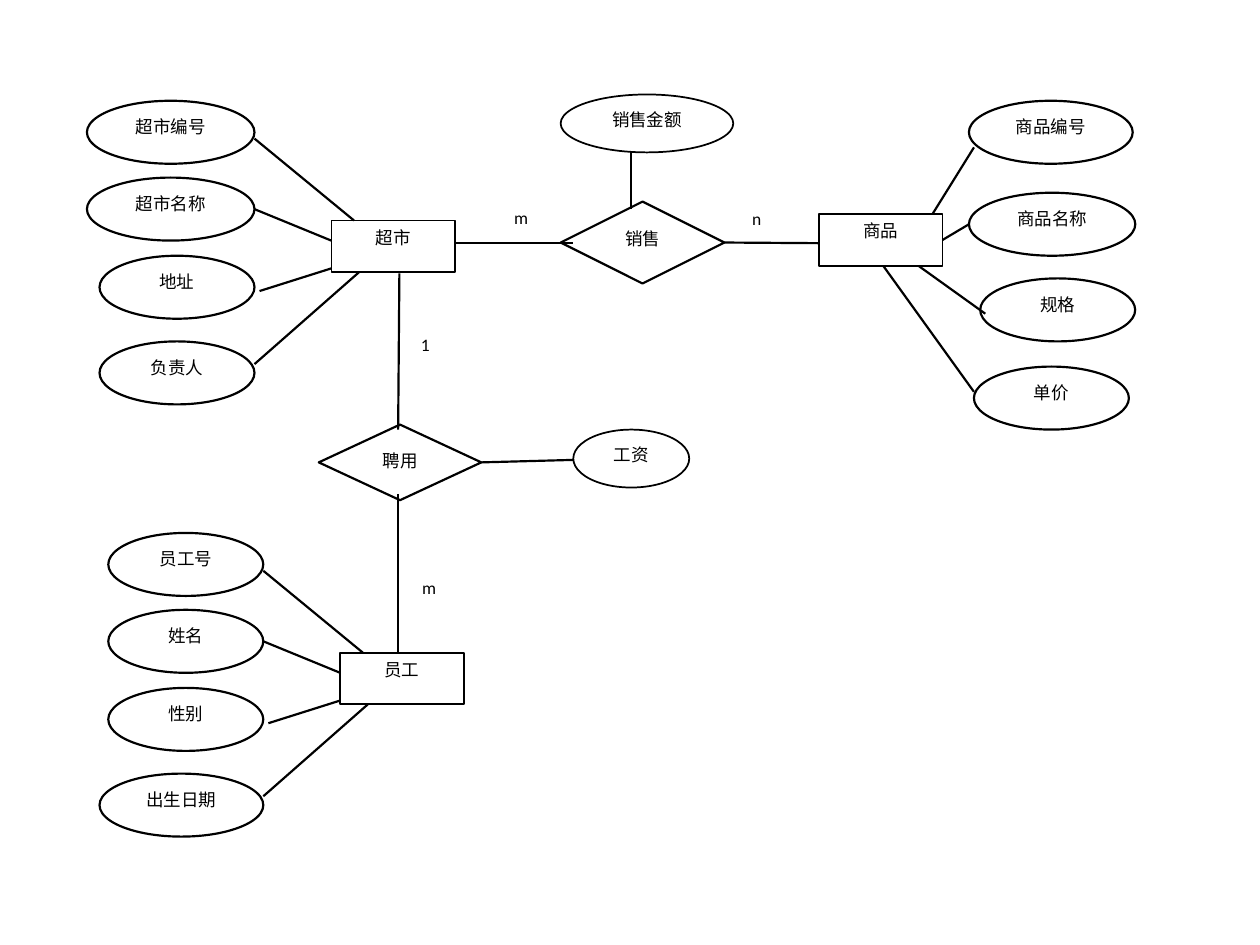
from pptx import Presentation
from pptx.dml.color import RGBColor
from pptx.enum.shapes import MSO_CONNECTOR, MSO_SHAPE
from pptx.enum.text import MSO_ANCHOR, PP_ALIGN
from pptx.oxml.ns import qn
from pptx.util import Inches, Pt
from lxml import etree

BLACK = RGBColor(0, 0, 0)
WHITE = RGBColor(255, 255, 255)
RECT = MSO_SHAPE.FLOWCHART_PROCESS
OVAL = MSO_SHAPE.OVAL
DIAMOND = MSO_SHAPE.DIAMOND
STRAIGHT = MSO_CONNECTOR.STRAIGHT
TOP = MSO_ANCHOR.TOP
CENTER = PP_ALIGN.CENTER
RIGHT = 3
FONT = {"name": "Calibri", "size": Pt(10)}
FRAME = {"vertical_anchor": TOP, "word_wrap": True}

LEFT_TOPS = (0.8, 1.41, 2.03, 2.71)
LEFT_EDGE = 2.02
LEFT_LINES = (
    (2.02, 1.1, 2.81, 1.75),
    (2.02, 1.66, 2.63, 1.91),
    (2.06, 2.31, 2.63, 2.13),
    (2.02, 2.89, 2.85, 2.16),
)
STORE_ITEMS = (("超市编号", 1.33), ("超市名称", 1.33), ("地址", 1.23), ("负责人", 1.23))
STAFF_ITEMS = (("员工号", 1.23), ("姓名", 1.23), ("性别", 1.23), ("出生日期", 1.3))
GOODS_ITEMS = (
    ("商品编号", 7.69, 0.8, 1.3),
    ("商品名称", 7.69, 1.53, 1.32),
    ("规格", 7.78, 2.21, 1.23),
    ("单价", 7.73, 2.91, 1.23),
)
GOODS_LINES = (
    (7.73, 1.17, 7.4, 1.7),
    (7.82, 2.49, 7.29, 2.11),
    (7.73, 3.11, 7.01, 2.11),
)
MAIN_LINES = (
    (3.61, 1.93, 4.55, 1.93),
    (3.17, 2.17, 3.16, 3.41),
    (3.16, 3.92, 3.16, 5.18),
    (5.01, 1.66, 5.01, 1.21),
)
LABELS = (("m", 3.9, 1.59), ("n", 5.77, 1.6), ("m", 3.17, 4.53), ("1", 3.14, 2.6))


def apply(target, values):
    for key, value in values.items():
        setattr(target, key, value)


def add_node(slide, kind, text, x, y, w, h, width=1.25, fill=None):
    node = slide.shapes.add_shape(kind, Inches(x), Inches(y), Inches(w), Inches(h))
    node.shadow.inherit = False
    if fill is None:
        node.fill.background()
    else:
        node.fill.solid()
        node.fill.fore_color.rgb = fill
    if width:
        node.line.color.rgb = BLACK
        node.line.width = Pt(width)
    else:
        node.line.fill.background()
    frame = node.text_frame
    apply(frame, FRAME)
    para = frame.paragraphs[0]
    para.alignment = CENTER
    run = para.add_run()
    run.text = text
    apply(run.font, FONT)
    run.font.color.rgb = BLACK
    return node


def add_box(slide, text, x, y):
    return add_node(slide, RECT, text, x, y, 0.98, 0.41, 1, WHITE)


def add_link(slide, x1, y1, x2, y2, start=None):
    link = slide.shapes.add_connector(
        STRAIGHT, Inches(x1), Inches(y1), Inches(x2), Inches(y2)
    )
    link.line.color.rgb = BLACK
    link.line.width = Pt(1.25)
    etree.SubElement(link._element.spPr, qn("a:effectLst"))
    if start is not None:
        link.begin_connect(start, RIGHT)


def add_group(slide, name, items, dx=0, dy=0):
    add_box(slide, name, 2.63 + dx, 1.75 + dy)
    for (text, w), y in zip(items, LEFT_TOPS):
        add_node(slide, OVAL, text, LEFT_EDGE + dx - w, y + dy, w, 0.5)
    for x1, y1, x2, y2 in LEFT_LINES:
        add_link(slide, x1 + dx, y1 + dy, x2 + dx, y2 + dy)


def add_goods(slide):
    goods = add_box(slide, "商品", 6.5, 1.7)
    for text, x, y, w in GOODS_ITEMS:
        add_node(slide, OVAL, text, x, y, w, 0.5)
    for ends in GOODS_LINES:
        add_link(slide, *ends)
    add_link(slide, 7.48, 1.9, 7.69, 1.78, goods)


def main():
    deck = Presentation()
    deck.slide_width = Inches(10)
    deck.slide_height = Inches(7.5)
    slide = deck.slides.add_slide(deck.slide_layouts[6])

    add_group(slide, "超市", STORE_ITEMS)
    add_group(slide, "员工", STAFF_ITEMS, 0.07, 3.43)
    add_goods(slide)

    sale = add_node(slide, DIAMOND, "销售", 4.45, 1.6, 1.3, 0.65)
    hire = add_node(slide, DIAMOND, "聘用", 2.53, 3.37, 1.29, 0.6)
    add_node(slide, OVAL, "销售金额", 4.45, 0.75, 1.37, 0.46, 1)
    add_node(slide, OVAL, "工资", 4.55, 3.41, 0.92, 0.46, 1)
    for ends in MAIN_LINES:
        add_link(slide, *ends)
    add_link(slide, 5.76, 1.93, 6.5, 1.93, sale)
    add_link(slide, 3.81, 3.67, 4.55, 3.65, hire)
    for text, x, y in LABELS:
        add_node(slide, RECT, text, x, y, 0.47, 0.3, 0)

    deck.save("out.pptx")


if __name__ == "__main__":
    main()
